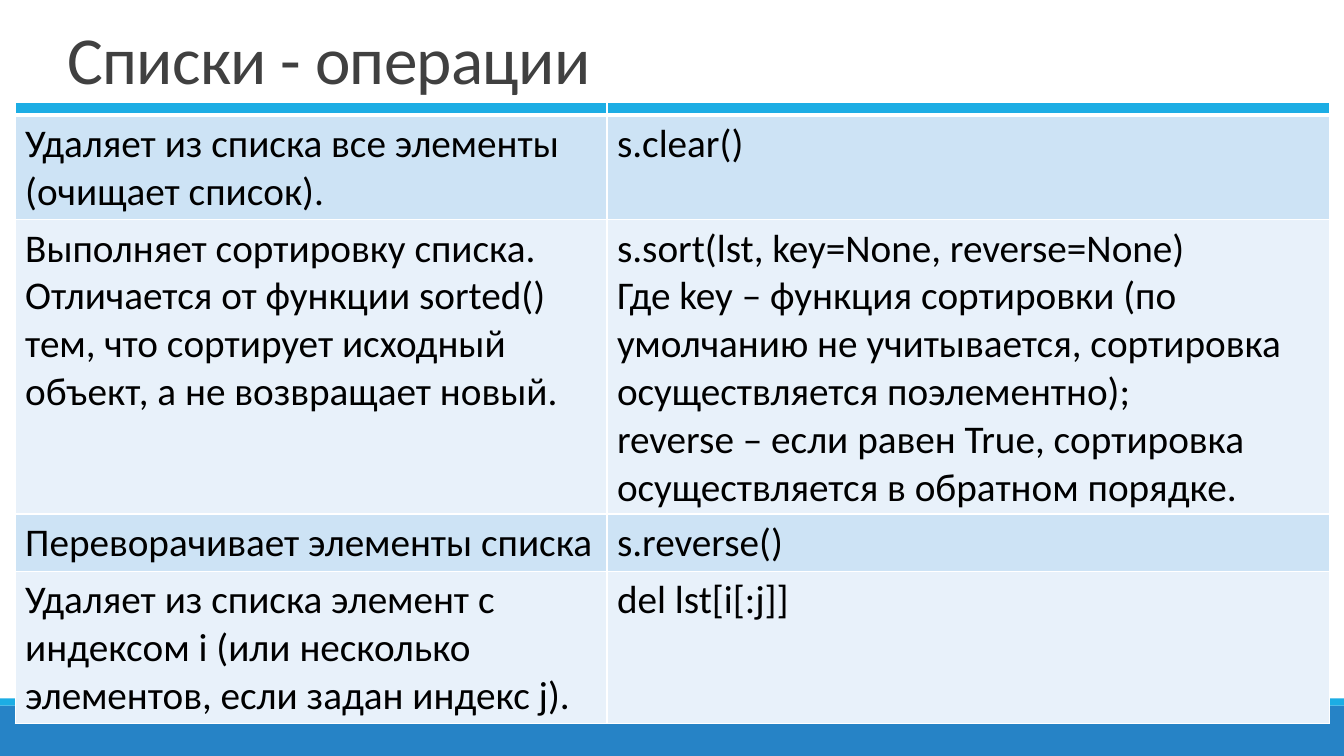
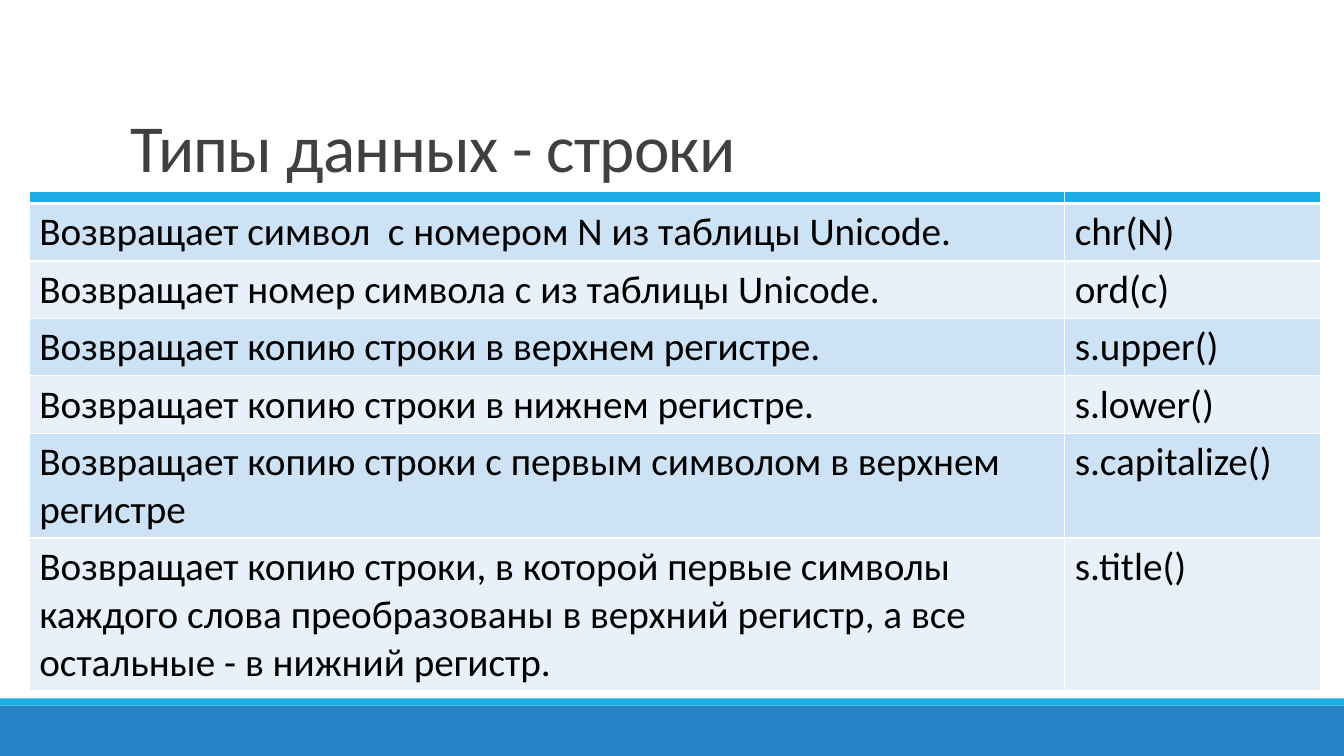
from lxml import etree
from pptx import Presentation
from pptx.dml.color import RGBColor
from pptx.enum.shapes import MSO_SHAPE
from pptx.enum.text import MSO_ANCHOR
from pptx.oxml.ns import qn
from pptx.util import Inches, Pt

RECTANGLE = MSO_SHAPE.RECTANGLE
BOTTOM = MSO_ANCHOR.BOTTOM

COLORS = {
    "footer": "2683C6",
    "accent": "1CADE4",
    "title": "404040",
    "text": "000000",
    "border": "FFFFFF",
    "odd_row": "CDE3F5",
    "even_row": "E8F1FA",
}
FONT = "Calibri"
SLIDE_WIDTH, SLIDE_HEIGHT = 13.33, 7.5
HEADER_HEIGHT, LINE_HEIGHT, CELL_PADDING = 0.12, 0.47, 0.1

LIST_OPERATIONS = [
    (2, "Удаляет из списка все элементы (очищает список).", "s.clear()"),
    (6, "Выполняет сортировку списка. Отличается от функции sorted() тем, "
        "что сортирует исходный объект, а не возвращает новый.",
     "s.sort(lst, key=None, reverse=None)\n"
     "Где key – функция сортировки (по умолчанию не учитывается, "
     "сортировка осуществляется поэлементно);\n"
     "reverse – если равен True, сортировка осуществляется в обратном порядке."),
    (1, "Переворачивает элементы списка", "s.reverse()"),
    (3, "Удаляет из списка элемент с индексом i (или несколько элементов, "
        "если задан индекс j).", "del lst[i[:j]]"),
]
STRING_METHODS = [
    (1, "Возвращает символ  c номером N из таблицы Unicode.", "chr(N)"),
    (1, "Возвращает номер символа c из таблицы Unicode.", "ord(c)"),
    (1, "Возвращает копию строки в верхнем регистре.", "s.upper()"),
    (1, "Возвращает копию строки в нижнем регистре.", "s.lower()"),
    (2, "Возвращает копию строки с первым символом в верхнем регистре",
     "s.capitalize()"),
    (3, "Возвращает копию строки, в которой первые символы каждого слова "
        "преобразованы в верхний регистр, а все остальные - в нижний регистр.",
     "s.title()"),
]


class Deck:
    """Holds the shared style and the slide being built."""

    def __init__(self):
        self.presentation = Presentation()
        self.presentation.slide_width = Inches(SLIDE_WIDTH)
        self.presentation.slide_height = Inches(SLIDE_HEIGHT)
        self.slide = None

    def color(self, name):
        return RGBColor.from_string(COLORS[name])

    def new_slide(self):
        layout = self.presentation.slide_layouts[6]
        self.slide = self.presentation.slides.add_slide(layout)
        self.band(7, 0.5, "footer")
        self.band(6.93, 0.07, "accent")

    def band(self, top, height, color):
        band = self.slide.shapes.add_shape(
            RECTANGLE, 0, Inches(top), Inches(SLIDE_WIDTH), Inches(height))
        band.shadow.inherit = False
        band.fill.solid()
        band.fill.fore_color.rgb = self.color(color)
        band.line.fill.background()

    def style(self, paragraph, size, color):
        for run in paragraph.runs:
            run.font.name = FONT
            run.font.size = Pt(size)
            run.font.color.rgb = self.color(color)

    def title(self, text, left, top, width, height):
        frame = self.slide.shapes.add_textbox(
            Inches(left), Inches(top), Inches(width), Inches(height)).text_frame
        frame.word_wrap = True
        frame.vertical_anchor = BOTTOM
        frame.text = text
        heading = frame.paragraphs[0]
        heading.line_spacing = 0.85
        self.style(heading, 48, "title")
        heading.runs[0].font._element.set("spc", "-50")

    def cell(self, cell, text, fill, top_border, bottom_border):
        properties = cell._tc.get_or_add_tcPr()
        borders = {"lnL": 1, "lnR": 1, "lnT": top_border, "lnB": bottom_border}
        for side, width in borders.items():
            line = etree.SubElement(properties, qn(f"a:{side}"), w=str(Pt(width)))
            solid = etree.SubElement(line, qn("a:solidFill"))
            etree.SubElement(solid, qn("a:srgbClr"), val=COLORS["border"])
        cell.fill.solid()
        cell.fill.fore_color.rgb = self.color(fill)
        if not text:
            cell.text_frame.paragraphs[0]._p.get_or_add_endParaRPr().set("sz", "100")
            return
        cell.text_frame.text = text
        for paragraph in cell.text_frame.paragraphs:
            self.style(paragraph, 28, "text")

    def table(self, entries, left, top, widths):
        heights = [HEADER_HEIGHT]
        heights += [CELL_PADDING + LINE_HEIGHT * lines for lines, *_ in entries]
        table = self.slide.shapes.add_table(
            len(heights), len(widths), Inches(left), Inches(top),
            Inches(sum(widths)), Inches(sum(heights))).table
        for column, width in zip(table.columns, widths):
            column.width = Inches(width)
        for row, height in zip(table.rows, heights):
            row.height = Inches(height)
        for header in table.rows[0].cells:
            self.cell(header, "", "accent", 1, 3)
        for number, (_, *texts) in enumerate(entries, 1):
            fill = "odd_row" if number % 2 else "even_row"
            for cell, text in zip(table.rows[number].cells, texts):
                self.cell(cell, text, fill, 3 if number == 1 else 1, 1)


def main():
    deck = Deck()
    deck.new_slide()
    deck.title("Списки - операции", 0.57, 0.15, 11.45, 0.87)
    deck.table(LIST_OPERATIONS, 0.15, 1.02, [5.87, 7.17])
    deck.new_slide()
    deck.title("Типы данных - строки", 1.2, 0.31, 11, 1.59)
    deck.table(STRING_METHODS, 0.29, 1.9, [10.27, 2.54])
    deck.presentation.save("out.pptx")


if __name__ == "__main__":
    main()
